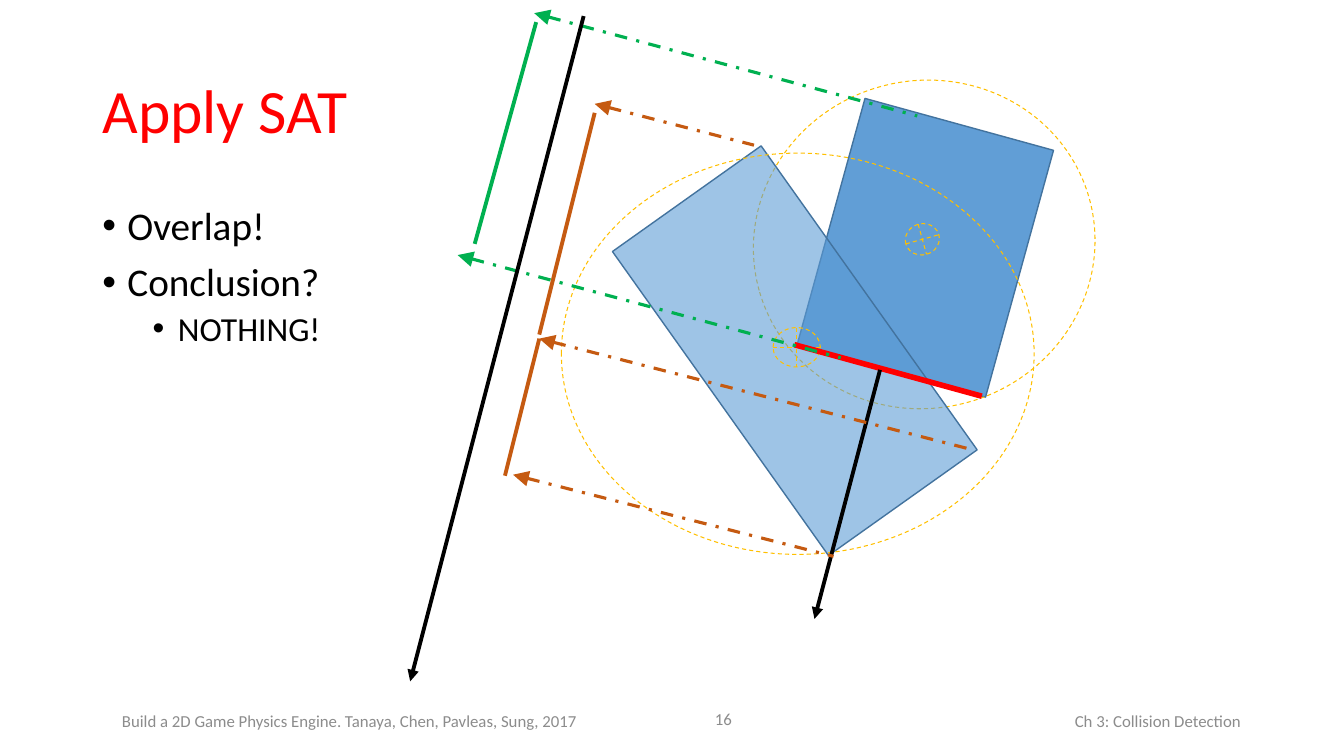
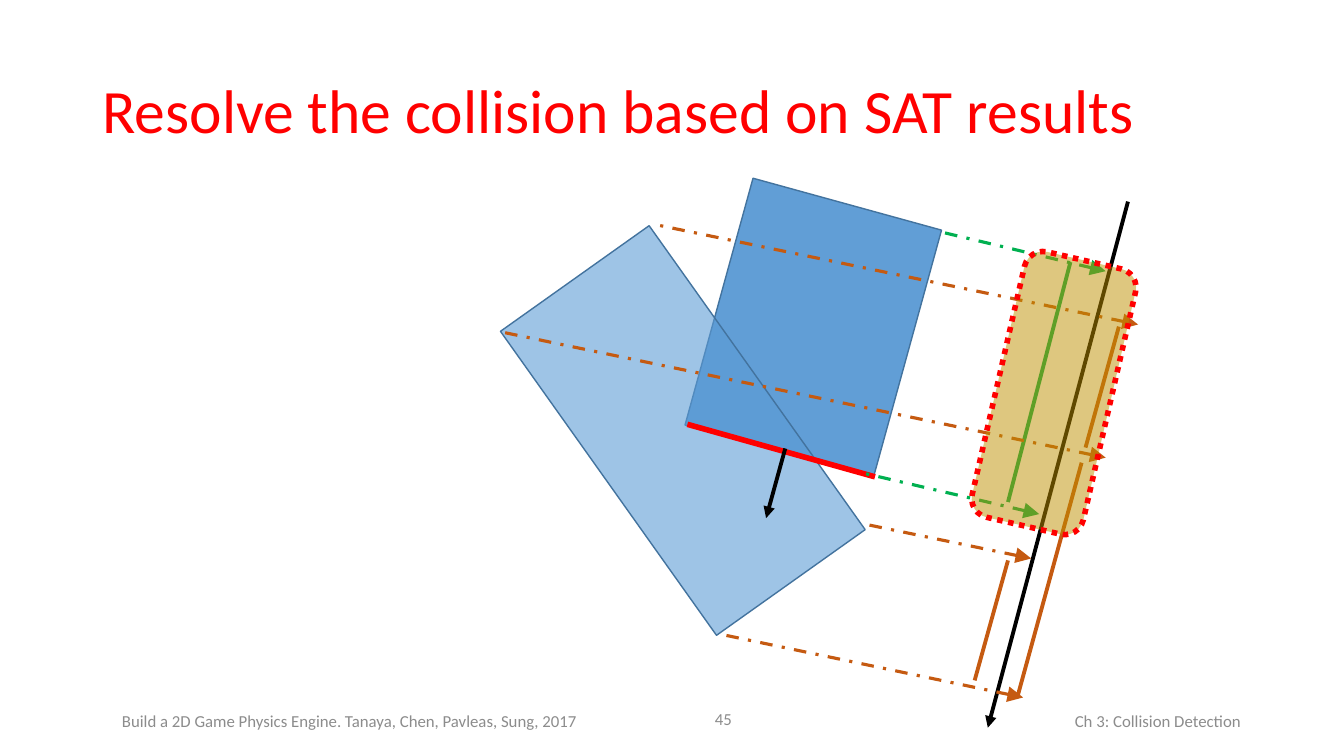
import lxml.etree
import pptx
import pptx.dml.color
import pptx.enum.dml
import pptx.enum.shapes
import pptx.enum.text
import pptx.oxml.ns
import pptx.util

FONT = "Calibri"
COLORS = {
    "title": "FF0000",
    "text": "000000",
    "footer": "8C8C8C",
    "box": "5B9BD5",
    "box_line": "43739E",
    "bound": "FFC000",
    "edge": "FF0000",
    "axis": "000000",
    "box_a": "00B050",
    "box_b": "C55A11",
    "overlap": "BF9000",
}
DASH = pptx.enum.dml.MSO_LINE.DASH
DASH_DOT = pptx.enum.dml.MSO_LINE.DASH_DOT
DOT = pptx.enum.dml.MSO_LINE.ROUND_DOT
SHAPE = pptx.enum.shapes.MSO_SHAPE
ALIGN = pptx.enum.text.PP_ALIGN
ANCHOR = pptx.enum.text.MSO_ANCHOR


def rgb(name):
    return pptx.dml.color.RGBColor.from_string(COLORS[name])


def pts(values):
    return [pptx.util.Pt(v) for v in values]


def add_xml(parent, tag, **attrs):
    return lxml.etree.SubElement(parent, pptx.oxml.ns.qn(tag), attrs)


def set_line(line, color, width, dash=None):
    line.color.rgb = rgb(color)
    line.width = pptx.util.Pt(width)
    if dash is not None:
        line.dash_style = dash


def add_run(p, text, size, color):
    r = p.add_run()
    r.text = text
    r.font.name = FONT
    r.font.size = pptx.util.Pt(size)
    r.font.color.rgb = rgb(color)


def add_title(s, text):
    sp = s.shapes.title
    sp.left, sp.top, sp.width, sp.height = pts((66, 28.75, 828, 104.4))
    tf = sp.text_frame
    tf.auto_size = pptx.enum.text.MSO_AUTO_SIZE.NONE
    tf.vertical_anchor = ANCHOR.MIDDLE
    p = tf.paragraphs[0]
    p.alignment = ALIGN.LEFT
    p.line_spacing = 0.9
    add_run(p, text, 44, "title")


def add_text_box(s, bounds):
    tf = s.shapes.add_textbox(*pts(bounds)).text_frame
    tf.word_wrap = True
    return tf


def add_footer(s, text, bounds, align):
    tf = add_text_box(s, bounds)
    tf.vertical_anchor = ANCHOR.MIDDLE
    p = tf.paragraphs[0]
    p.alignment = align
    add_run(p, text, 12, "footer")


def add_bullets(s, items):
    tf = add_text_box(s, (66, 144, 828, 342.7))
    for i, (text, level) in enumerate(items):
        p = tf.add_paragraph() if i else tf.paragraphs[0]
        p.level = level
        p.line_spacing = 0.9
        p.space_before = pptx.util.Pt(5 if level else 10)
        pPr = p._p.get_or_add_pPr()
        pPr.set("marL", str(pptx.util.Pt(18 + 36 * level)))
        pPr.set("indent", str(pptx.util.Pt(-18)))
        add_xml(pPr, "a:buFont", typeface="Arial")
        add_xml(pPr, "a:buChar", char="•")
        add_run(p, text, 28 - 4 * level, "text")


def add_outline(s, kind, bounds, line, rotation=0, fill=None, alpha=100):
    sp = s.shapes.add_shape(kind, *pts(bounds))
    sp.shadow.inherit = False
    sp.rotation = rotation
    set_line(sp.line, *line)
    if fill:
        sp.fill.solid()
        sp.fill.fore_color.rgb = rgb(fill)
        clr = sp._element.spPr.find(".//" + pptx.oxml.ns.qn("a:srgbClr"))
        add_xml(clr, "a:alpha", val=str(alpha * 1000))
    else:
        sp.fill.background()


def add_line(s, ends, color, width=2.75, dash=None, arrow=None, size="med"):
    cx = s.shapes.add_connector(
        pptx.enum.shapes.MSO_CONNECTOR.STRAIGHT, *pts(ends))
    set_line(cx.line, color, width, dash)
    if arrow:
        add_xml(cx.line._get_or_add_ln(), arrow, type="triangle", w=size, len=size)
    add_xml(cx._element.spPr, "a:effectLst")


def add_vector(s, ends):
    add_line(s, ends, "axis", arrow="a:tailEnd")


def add_edge(s, ends):
    add_line(s, ends, "edge", 4)


def add_projections(s, color, rays, extents):
    for ends in rays:
        add_line(s, ends, color, 2.25, DASH_DOT, "a:headEnd", "lg")
    for ends in extents:
        add_line(s, ends, color)


def add_bound(s, circle, center, rotation=0):
    for kind, bounds in ((SHAPE.OVAL, circle), (SHAPE.FLOWCHART_OR, center)):
        add_outline(s, kind, bounds, ("bound", 0.75, DASH), rotation)


def add_box(s, bounds, rotation, alpha, shift):
    x, y, w, h = bounds
    add_outline(s, SHAPE.RECTANGLE, (x + shift[0], y + shift[1], w, h),
                ("box_line", 1), rotation, "box", alpha)


def add_box_a(s, shift=(0, 0)):
    add_box(s, (591.1, 85.6, 139.7, 182.9), 15.4, 96, shift)


def add_box_b(s, shift=(0, 0)):
    add_box(s, (502.6, 117.3, 130.3, 266.4), 324.6, 59, shift)


def add_slide(prs, title, number):
    s = prs.slides.add_slide(prs.slide_layouts[5])
    add_footer(s, "Ch 3: Collision Detection", (547.2, 500.4, 346.3, 28.8), ALIGN.RIGHT)
    add_footer(s, "Build a 2D Game Physics Engine. Tanaya, Chen, Pavleas, Sung, 2017",
               (80, 500.4, 363.6, 28.8), ALIGN.LEFT)
    add_footer(s, number, (444.2, 498.9, 85.7, 28.8), ALIGN.RIGHT)
    add_title(s, title)
    return s


def add_apply_slide(prs):
    s = add_slide(prs, "Apply SAT", "16")
    add_bullets(s, [("Overlap!", 0), ("Conclusion?", 0), ("NOTHING!", 1)])
    add_box_a(s)
    add_bound(s, (537.8, 57.6, 244.8, 234), (646.6, 159.8, 24.5, 22.3), 344.4)
    add_box_b(s)
    add_bound(s, (401, 109.4, 337.7, 286.6), (552.2, 234, 33.8, 28.1))
    add_edge(s, (567.4, 246.2, 701.3, 283))
    add_projections(
        s, "box_a",
        [(381.6, 9.4, 655.2, 82.8), (326.9, 182.2, 600.5, 255.6)],
        [(339.1, 174.2, 383, 15.8)])
    add_vector(s, (628.6, 264.2, 581.8, 442.1))
    add_vector(s, (416.9, 11.5, 293, 486.7))
    add_projections(
        s, "box_b",
        [(366.5, 339.1, 595.4, 397.4), (385.2, 241.9, 691.2, 320.4),
         (424.8, 74.2, 538.6, 103.7)],
        [(360.7, 339.8, 385.2, 241.9), (385.2, 239, 424.8, 80.6)])


def add_resolve_slide(prs):
    s = add_slide(prs, "Resolve the collision based on SAT results", "45")
    shift = (-80, 57)
    add_box_a(s, shift)
    add_box_b(s, shift)
    add_edge(s, (625, 340.6, 491, 303.1))
    add_vector(s, (560.9, 320.4, 547.2, 370.1))
    add_projections(
        s, "box_a",
        [(789.8, 193.7, 671.8, 165.6), (742.3, 367.2, 615.6, 337.7)],
        [(764.6, 187.2, 720, 358.6)])
    add_vector(s, (805.7, 144, 705.6, 519.8))
    add_projections(
        s, "box_b",
        [(736.6, 398.9, 617.8, 374.4), (730.8, 498.2, 514.1, 452.9),
         (812.9, 231.8, 465.1, 159.8), (789.8, 326.9, 357.1, 236.9)],
        [(775.4, 319.7, 799.2, 233.3), (696.2, 486, 720, 400.3),
         (727.2, 496.1, 772.6, 330.5)])
    add_outline(s, SHAPE.ROUNDED_RECTANGLE, (712.1, 183.6, 81.4, 194.4),
                ("edge", 4, DOT), 12.9, "overlap", 50)


def main():
    prs = pptx.Presentation()
    prs.slide_width, prs.slide_height = pts((960, 540))
    add_apply_slide(prs)
    add_resolve_slide(prs)
    prs.save("out.pptx")


if __name__ == "__main__":
    main()
